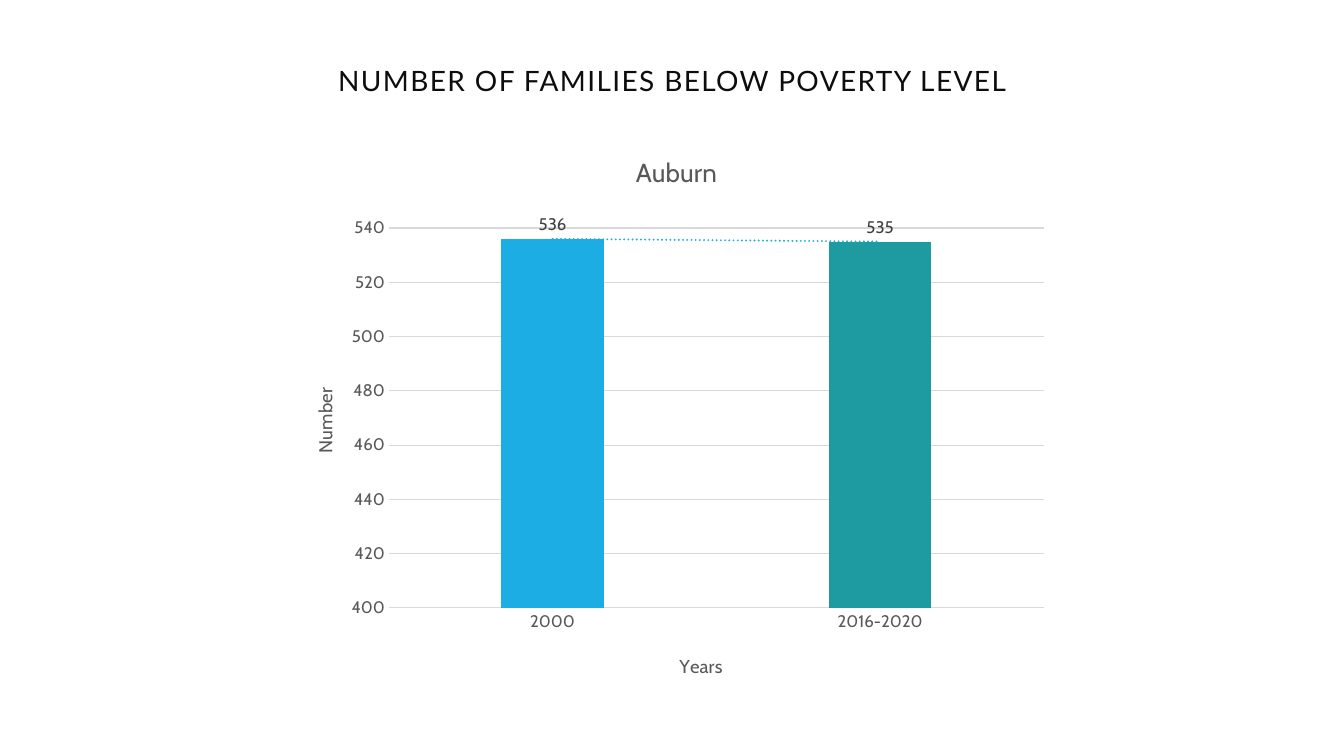
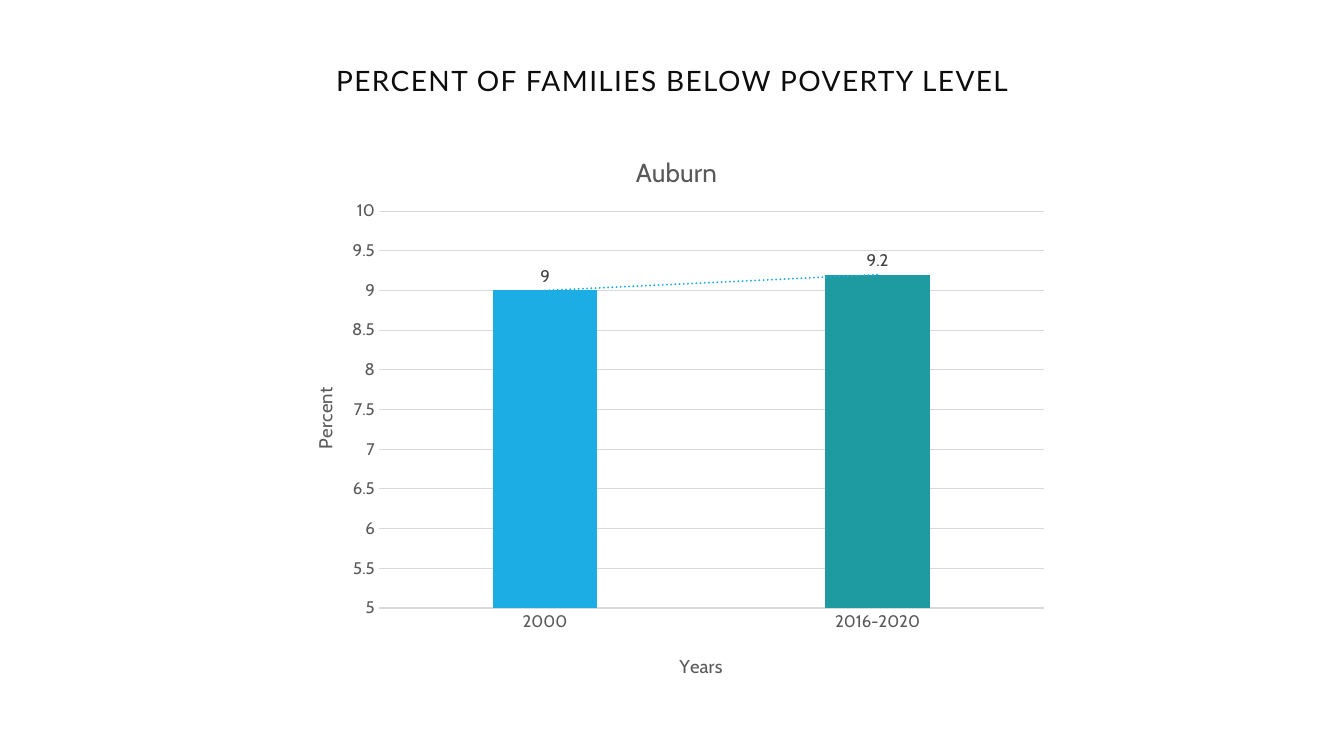
from lxml import etree
from pptx import Presentation
from pptx import util as u
from pptx.chart import data as chart_data
from pptx.dml import color
from pptx.enum import chart as ch, text
from pptx.oxml import ns

COLORS = {
    "title": "0D0D0D",
    "label": "404040",
    "muted": "595959",
    "grid": "D9D9D9",
    "blue": "1CADE4",
    "teal": "1D9BA1",
}
TRENDLINE = f"""<c:trendline xmlns:c="{ns.namespaces('c')['c']}" xmlns:a="{ns.namespaces('a')['a']}">
  <c:spPr><a:ln w="19050" cap="rnd"><a:solidFill><a:srgbClr val="{COLORS['blue']}"/></a:solidFill>
  <a:prstDash val="sysDot"/></a:ln></c:spPr>
  <c:trendlineType val="linear"/><c:dispRSqr val="0"/><c:dispEq val="0"/>
</c:trendline>"""
SLIDES = [
    {"title": "NUMBER OF FAMILIES BELOW POVERTY LEVEL", "unit": "Number", "values": (536, 535),
     "scale": (400, 550, 20), "plot": {"x": 13.5, "y": 13, "w": 84.4, "h": 71.6}},
    {"title": "PERCENT OF FAMILIES BELOW POVERTY LEVEL", "unit": "Percent", "values": (9, 9.2),
     "scale": (5, 10, 0.5), "plot": {"x": 12.2, "y": 14.8, "w": 85.7, "h": 69.8}},
]


def style(font, size, shade, name="Cabin"):
    font.name = name
    font.size = u.Pt(size)
    font.bold = False
    font.color.rgb = color.RGBColor.from_string(COLORS[shade])


def place(element, index, percents):
    for old in element.findall(ns.qn("c:layout")):
        element.remove(old)
    layout = etree.Element(ns.qn("c:layout"))
    manual = etree.SubElement(layout, ns.qn("c:manualLayout"))
    settings = {"xMode": "edge", "yMode": "edge"}
    if "w" in percents:
        settings = {"layoutTarget": "inner", **settings}
    settings.update({side: str(percent / 100) for side, percent in percents.items()})
    for tag, value in settings.items():
        etree.SubElement(manual, ns.qn(f"c:{tag}"), val=value)
    element.insert(index, layout)


deck = Presentation()
deck.slide_width, deck.slide_height = u.Cm(33.87), u.Cm(19.05)

for content in SLIDES:
    page = deck.slides.add_slide(deck.slide_layouts[6])

    box = page.shapes.add_textbox(u.Cm(2.34), u.Cm(1.02), u.Cm(29.21), u.Cm(2.18))
    box.text_frame.word_wrap = True
    box.text_frame.vertical_anchor = text.MSO_ANCHOR.MIDDLE
    para = box.text_frame.paragraphs[0]
    para.text = content["title"]
    para.alignment = text.PP_ALIGN.CENTER
    para.line_spacing = 0.8
    style(para.font, 20, "title", "Lato")
    para.runs[0].font._element.set("spc", "100")

    data = chart_data.CategoryChartData()
    data.categories = ["2000", "2016-2020"]
    data.add_series("Auburn", content["values"])
    chart = page.shapes.add_chart(
        ch.XL_CHART_TYPE.COLUMN_CLUSTERED,
        u.Cm(7.16), u.Cm(3.2), u.Cm(19.56), u.Cm(14.33), data,
    ).chart
    style(chart.font, 12, "muted")
    chart.has_legend = False
    chart.has_title = True

    category_axis, value_axis = chart.category_axis, chart.value_axis
    category_axis.has_title = value_axis.has_title = True
    for title, wording, size, corner in (
        (chart.chart_title, "Auburn", 18.6, {"x": 44.7, "y": 4}),
        (category_axis.axis_title, "Years", 13.3, {"x": 50.5, "y": 92}),
        (value_axis.axis_title, content["unit"], 13.3, {"x": 3.2, "y": 45.2}),
    ):
        title.text_frame.text = wording
        style(title.text_frame.paragraphs[0].font, size, "muted")
        place(title._element, 1, corner)
    place(chart._chartSpace.chart.plotArea, 0, content["plot"])

    for axis in (category_axis, value_axis):
        axis.major_tick_mark = axis.minor_tick_mark = ch.XL_TICK_MARK.NONE
        style(axis.tick_labels.font, 12, "muted")
    value_axis.minimum_scale, value_axis.maximum_scale, value_axis.major_unit = content["scale"]
    value_axis.format.line.fill.background()
    for line in (category_axis.format.line, value_axis.major_gridlines.format.line):
        line.width = u.Pt(0.75)
        line.color.rgb = color.RGBColor.from_string(COLORS["grid"])

    plot = chart.plots[0]
    plot.vary_by_categories = False
    plot.gap_width, plot.overlap = 219, -27
    series = plot.series[0]
    for fill, shade in ((series.format.fill, "blue"), (series.points[1].format.fill, "teal")):
        fill.solid()
        fill.fore_color.rgb = color.RGBColor.from_string(COLORS[shade])
    labels = series.data_labels
    labels.show_value = True
    labels.position = ch.XL_LABEL_POSITION.OUTSIDE_END
    style(labels.font, 12, "label")
    series._element.find(ns.qn("c:cat")).addprevious(etree.fromstring(TRENDLINE))

deck.save("out.pptx")
